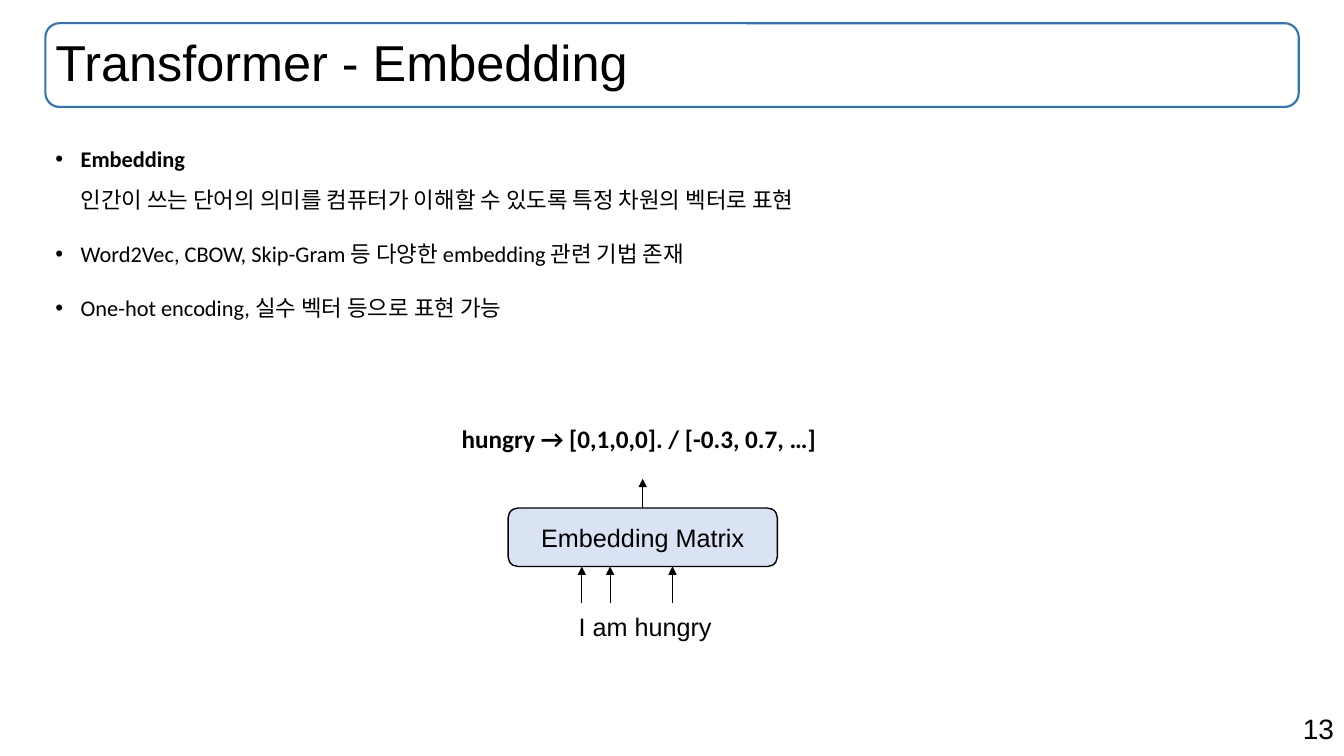
import dataclasses
import typing

import lxml.etree
import pptx
import pptx.dml.color
import pptx.enum.shapes
import pptx.enum.text
import pptx.oxml.ns
import pptx.util

ALIGN = pptx.enum.text.PP_ALIGN
ANCHOR = pptx.enum.text.MSO_ANCHOR
AUTOSIZE = pptx.enum.text.MSO_AUTO_SIZE
SHAPE = pptx.enum.shapes.MSO_SHAPE
SLIDE_WIDTH = pptx.util.Inches(13.33)
SLIDE_HEIGHT = pptx.util.Inches(7.5)


@dataclasses.dataclass(frozen=True)
class Theme:
    ink: str = "000000"
    frame: str = "2E75B6"
    matrix: str = "DAE3F3"
    sans: str = "Arial"
    body: str = "Calibri"
    title_size: int = 36
    number_size: int = 20
    label_size: int = 18
    bullet_size: int = 16


class Area(typing.NamedTuple):
    """Left, top, width and height in percent of the slide."""
    left: float
    top: float
    width: float
    height: float

    def emu(self) -> tuple[int, int, int, int]:
        return across(self.left), down(self.top), across(self.width), down(self.height)


class Arrow(typing.NamedTuple):
    """Upward arrow, in percent of the slide."""
    x: float
    start: float
    end: float


class Bullet(typing.NamedTuple):
    text: str
    heading: str = ""


class Label(typing.NamedTuple):
    text: str
    area: Area
    size: int
    font: str
    align: ALIGN = ALIGN.LEFT
    bold: bool = False


THEME = Theme()
HEADER = Area(3.38, 3.07, 93.25, 11.07)
BODY = Area(3.38, 16.8, 93.25, 73.73)
MATRIX = Area(37.81, 67.2, 20.03, 7.73)

BULLETS = [
    Bullet("인간이 쓰는 단어의 의미를 컴퓨터가 이해할 수 있도록 특정 차원의 벡터로 표현", "Embedding"),
    Bullet("Word2Vec, CBOW, Skip-Gram 등 다양한 embedding 관련 기법 존재"),
    Bullet("One-hot encoding, 실수 벡터 등으로 표현 가능"),
]
LABELS = [
    Label("13", Area(70.74, 93.47, 29.26, 5.87), THEME.number_size, THEME.sans, ALIGN.RIGHT),
    Label("hungry → [0,1,0,0]. / [-0.3, 0.7, …]", Area(33.61, 55.33, 31.21, 5.33),
          THEME.label_size, THEME.body, bold=True),
    Label("I am hungry", Area(38.18, 80.27, 19.65, 4.13), THEME.label_size, THEME.sans,
          ALIGN.CENTER),
]
MATRIX_BOTTOM = MATRIX.top + MATRIX.height
WORD_CENTERS = (43.29, 45.39, 50.04)
ARROWS = [Arrow(MATRIX.left + MATRIX.width / 2, MATRIX.top, 63.33)]
ARROWS += [Arrow(x, 79.73, MATRIX_BOTTOM) for x in WORD_CENTERS]


def across(percent: float) -> int:
    return round(SLIDE_WIDTH * percent / 100)


def down(percent: float) -> int:
    return round(SLIDE_HEIGHT * percent / 100)


def rgb(color: str) -> pptx.dml.color.RGBColor:
    return pptx.dml.color.RGBColor.from_string(color)


def add_xml(parent, tag: str, **attributes: str):
    return lxml.etree.SubElement(parent, pptx.oxml.ns.qn(tag), attributes)


def write(paragraph, text: str, *, size: int, font: str, heading: str = "", bold: bool = False,
          align: ALIGN = ALIGN.LEFT, spacing: float = 1.0, before: float = 0,
          bullet: bool = False) -> None:
    """Fill a paragraph, with an optional bold heading line above the text."""
    if bullet:
        properties = paragraph._p.get_or_add_pPr()
        indent = pptx.util.Inches(0.25)
        properties.set("marL", str(indent))
        properties.set("indent", str(-indent))
        add_xml(properties, "a:buFont", typeface="Arial")
        add_xml(properties, "a:buChar", char="•")
    paragraph.alignment = align
    paragraph.line_spacing = spacing
    paragraph.space_before = pptx.util.Pt(before)
    pieces = [(heading, True), (text, bold)] if heading else [(text, bold)]
    for index, (piece, is_bold) in enumerate(pieces):
        if index:
            paragraph.add_line_break()
        run = paragraph.add_run()
        run.text = piece
        run.font.name = font
        run.font.size = pptx.util.Pt(size)
        run.font.bold = is_bold
        run.font.color.rgb = rgb(THEME.ink)


def place(placeholder, area: Area, anchor: ANCHOR):
    placeholder.left, placeholder.top, placeholder.width, placeholder.height = area.emu()
    frame = placeholder.text_frame
    frame.auto_size = AUTOSIZE.NONE
    frame.vertical_anchor = anchor
    return frame


def add_box(slide, area: Area, line: str, width: float, fill: str | None = None):
    box = slide.shapes.add_shape(SHAPE.ROUNDED_RECTANGLE, *area.emu())
    box.shadow.inherit = False
    if fill:
        box.fill.solid()
        box.fill.fore_color.rgb = rgb(fill)
    else:
        box.fill.background()
    box.line.color.rgb = rgb(line)
    box.line.width = pptx.util.Pt(width)
    return box


def add_label(slide, label: Label) -> None:
    frame = slide.shapes.add_textbox(*label.area.emu()).text_frame
    frame.word_wrap = True
    frame.auto_size = AUTOSIZE.SHAPE_TO_FIT_TEXT
    write(frame.paragraphs[0], label.text, size=label.size, font=label.font,
          align=label.align, bold=label.bold)


def add_arrow(slide, arrow: Arrow) -> None:
    x = across(arrow.x)
    connector = slide.shapes.add_connector(
        pptx.enum.shapes.MSO_CONNECTOR.STRAIGHT, x, down(arrow.start), x, down(arrow.end))
    connector.line.color.rgb = rgb(THEME.ink)
    connector.line.width = pptx.util.Pt(0.5)
    add_xml(connector.line._get_or_add_ln(), "a:tailEnd", type="triangle")
    add_xml(connector._element.spPr, "a:effectLst")


def main() -> None:
    deck = pptx.Presentation()
    deck.slide_width, deck.slide_height = SLIDE_WIDTH, SLIDE_HEIGHT
    slide = deck.slides.add_slide(deck.slide_layouts[1])

    header = add_box(slide, HEADER, THEME.frame, 1.5)
    slide.shapes.title._element.addprevious(header._element)
    title = place(slide.shapes.title, HEADER, ANCHOR.MIDDLE)
    write(title.paragraphs[0], "Transformer - Embedding", size=THEME.title_size,
          font=THEME.sans, spacing=0.9)

    body = place(slide.placeholders[1], BODY, ANCHOR.TOP)
    for index, bullet in enumerate(BULLETS):
        paragraph = body.add_paragraph() if index else body.paragraphs[0]
        write(paragraph, bullet.text, heading=bullet.heading, size=THEME.bullet_size,
              font=THEME.body, spacing=1.5, before=10 if index else 0, bullet=True)

    matrix = add_box(slide, MATRIX, THEME.ink, 1, THEME.matrix).text_frame
    matrix.vertical_anchor = ANCHOR.MIDDLE
    write(matrix.paragraphs[0], "Embedding Matrix", size=THEME.label_size, font=THEME.sans,
          align=ALIGN.CENTER)
    for label in LABELS:
        add_label(slide, label)
    for arrow in ARROWS:
        add_arrow(slide, arrow)
    deck.save("out.pptx")


if __name__ == "__main__":
    main()
